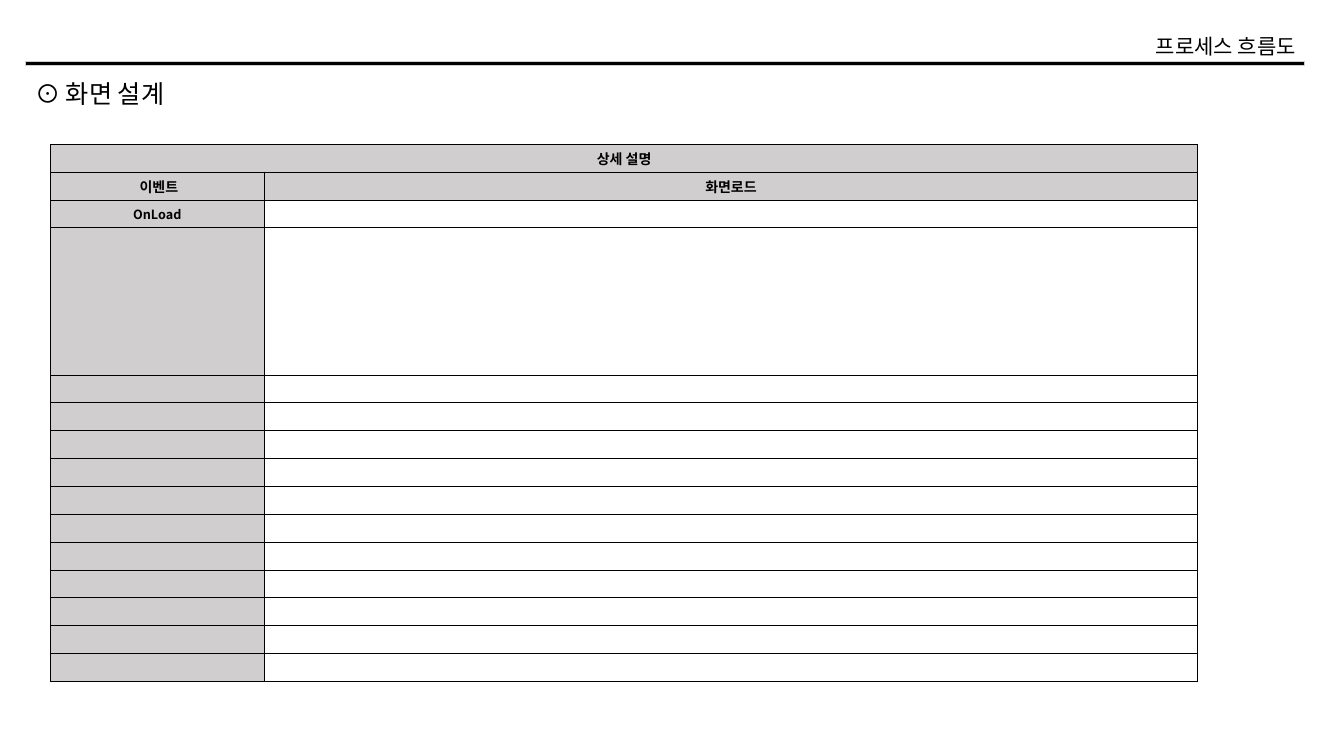
import pptx
import pptx.util
import pptx.dml.color
import pptx.enum.shapes
import pptx.enum.text
import pptx.oxml.ns
from lxml import etree

GRID = 0.25
FONT = "Noto Sans CJK KR"
BLACK = "000000"
GREY = "D0CECE"
ALIGN = pptx.enum.text.PP_ALIGN
TABLE_TEXT = {
    (0, 0): ("상세 설명", 10),
    (1, 0): (" 이벤트", 10),
    (1, 1): ("화면로드", 10),
    (2, 0): ("OnLoad", 9),
}


def grid(*units):
    return [pptx.util.Inches(u * GRID) for u in units]


def rgb(value):
    return pptx.dml.color.RGBColor.from_string(value)


def child(parent, tag, **attrs):
    return etree.SubElement(parent, pptx.oxml.ns.qn(tag), **attrs)


def set_all(obj, values):
    for name, value in values.items():
        setattr(obj, name, value)


def add_text(tf, text, size, align, bold=False):
    p = tf.paragraphs[0]
    p.alignment = align
    r = p.add_run()
    r.text = text
    set_all(r.font, {"size": pptx.util.Pt(size), "bold": bold, "name": FONT})
    r.font.color.rgb = rgb(BLACK)
    child(r.font._element, "a:ea", typeface=FONT)


def add_heading(s, box, text, size, align):
    tf = s.shapes.add_textbox(*grid(*box)).text_frame
    set_all(tf, {"word_wrap": True,
                 "auto_size": pptx.enum.text.MSO_AUTO_SIZE.SHAPE_TO_FIT_TEXT})
    add_text(tf, text, size, align)


def add_rule(s, box):
    sp = s.shapes.add_shape(pptx.enum.shapes.MSO_SHAPE.RECTANGLE, *grid(*box))
    sp.shadow.inherit = False
    sp.fill.solid()
    sp.fill.fore_color.rgb = rgb(BLACK)
    sp.line.color.rgb = rgb(GREY)
    sp.line.width = pptx.util.Pt(0.3)


def add_borders(cell):
    tcPr = cell._tc.get_or_add_tcPr()
    for side in ("L", "R", "T", "B"):
        ln = child(tcPr, f"a:ln{side}", w=str(pptx.util.Pt(0.5)))
        child(child(ln, "a:solidFill"), "a:srgbClr", val=BLACK)


def format_cell(cell, shaded, entry):
    inset = pptx.util.Inches(0.01)
    set_all(cell, {"margin_left": inset, "margin_right": inset,
                   "margin_top": inset, "margin_bottom": 0,
                   "vertical_anchor": pptx.enum.text.MSO_ANCHOR.MIDDLE})
    add_borders(cell)
    if shaded:
        cell.fill.solid()
        cell.fill.fore_color.rgb = rgb(GREY)
    else:
        cell.fill.background()
    if entry:
        add_text(cell.text_frame, *entry, ALIGN.CENTER, True)
    else:
        child(cell.text_frame.paragraphs[0]._p, "a:endParaRPr", sz="900")


def add_event_table(s, box, event_width, tall_row, tall_height, row_count):
    left, top, width, height = box
    tbl = s.shapes.add_table(row_count, 2, *grid(*box)).table
    set_all(tbl, {"first_row": False, "horz_banding": False})
    for column, units in zip(tbl.columns, (event_width, width - event_width)):
        column.width = grid(units)[0]
    row_height = (height - tall_height) / (row_count - 1)
    for i, row in enumerate(tbl.rows):
        row.height = grid(tall_height if i == tall_row else row_height)[0]
        for j, cell in enumerate(row.cells):
            format_cell(cell, j == 0 or i < 2, TABLE_TEXT.get((i, j)))
    tbl.cell(0, 0).merge(tbl.cell(0, 1))


def main():
    prs = pptx.Presentation()
    set_all(prs, {"slide_width": pptx.util.Inches(13.33),
                  "slide_height": pptx.util.Inches(7.5)})
    s = prs.slides.add_slide(prs.slide_layouts[6])
    add_rule(s, (1, 2.44, 50.76, 0.16))
    add_heading(s, (44.8, 1.12, 7, 1.4), "프로세스 흐름도", 15, ALIGN.RIGHT)
    add_heading(s, (1, 2.92, 6.52, 1.6), "⊙ 화면 설계", 18, ALIGN.LEFT)
    add_event_table(s, (2, 5.72, 45.52, 21.32), event_width=8.48,
                    tall_row=3, tall_height=5.84, row_count=15)
    prs.save("out.pptx")


if __name__ == "__main__":
    main()
